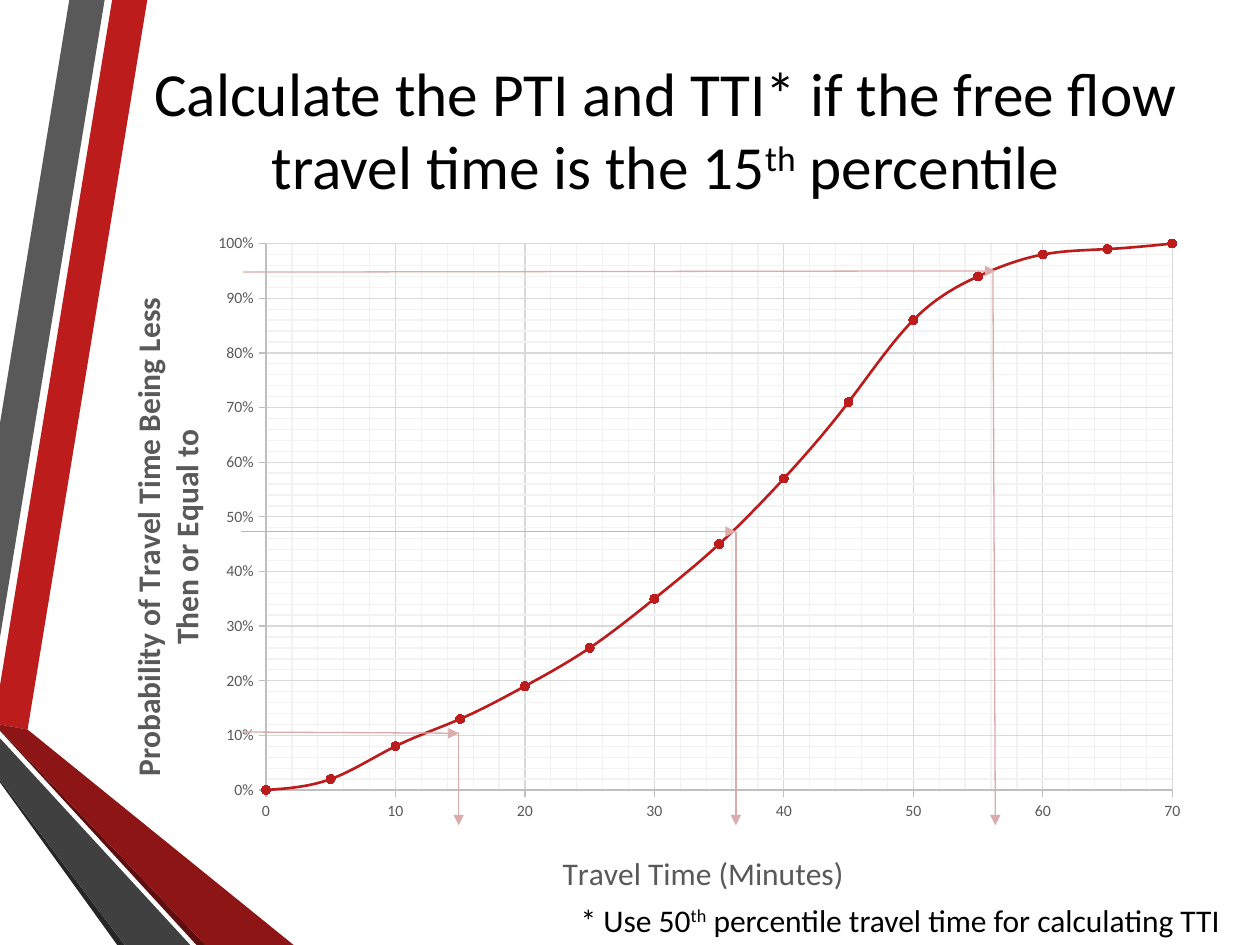
import pptx
import pptx.chart.data
import pptx.dml.color
import pptx.enum.chart
import pptx.enum.shapes
import pptx.enum.text
import pptx.oxml
import pptx.oxml.ns
import pptx.util

Pt = pptx.util.Pt
RGBColor = pptx.dml.color.RGBColor
qn = pptx.oxml.ns.qn

FONT = "Calibri"
RED = RGBColor(0xBC, 0x1C, 0x1C)
ARROW_PINK = RGBColor(0xDA, 0xAC, 0xAC)
BLACK = RGBColor(0, 0, 0)
LABEL_GRAY = RGBColor(0x59, 0x59, 0x59)
AXIS_GRAY = RGBColor(0xBF, 0xBF, 0xBF)
GRID_GRAY = RGBColor(0xD9, 0xD9, 0xD9)
MINOR_GRAY = RGBColor(0xF2, 0xF2, 0xF2)

# Ribbons from back to front: colour and corners
RIBBONS = [
    (RED, [(0, 391.7), (0, 414), (15.8, 416.9), (84.2, 0), (64.1, 0)]),
    (LABEL_GRAY, [(59.8, 0), (39.6, 0), (0, 241.9), (0, 364.3)]),
    (RGBColor(0x26, 0x26, 0x26), [(0, 445.7), (0, 447.1), (67, 540), (71.3, 540)]),
    (RGBColor(0x5E, 0x0E, 0x0E), [(0, 416.9), (0, 417.6), (112.3, 540), (117.4, 540)]),
    (RGBColor(0x8D, 0x15, 0x15), [(0, 416.9), (117.4, 540), (167.8, 540), (15.8, 416.9), (0, 414)]),
    (RGBColor(0x40, 0x40, 0x40), [(0, 445.7), (71.3, 540), (108.7, 540), (0, 421.9)]),
]

# Text, then whether it is superscript
TITLE = [("Calculate the PTI and TTI* if the free flow travel time is the 15", False),
         ("th", True), (" percentile", False)]
FOOTNOTE = [("* Use 50", False), ("th", True),
            (" percentile travel time for calculating TTI", False)]

PROBABILITIES = [0, 0.02, 0.08, 0.13, 0.19, 0.26, 0.35, 0.45,
                 0.57, 0.71, 0.86, 0.94, 0.98, 0.99, 1]
MINUTES_STEP = 5
CHART_BOX = (49.7, 127.4, 639.4, 395.3)
PLOT_LAYOUT = {"x": 0.16, "y": 0.03, "w": 0.81, "h": 0.79}

# Reading arrows: across to the curve, then down to the time axis
READINGS = [
    ((139, 418.3), (262.1, 419), (262.1, 418.3)),
    ((137.5, 303.8), (420.5, 303.8), (420.5, 303.8)),
    ((139, 155.5), (568.8, 154.8), (567.4, 155.5)),
]
ARROW_BOTTOM = 471.6


def add_ribbon(shapes, color, corners):
    builder = shapes.build_freeform(Pt(corners[0][0]), Pt(corners[0][1]), scale=1.0)
    builder.add_line_segments([(Pt(x), Pt(y)) for x, y in corners[1:]], close=True)
    shape = builder.convert_to_shape()
    shape.shadow.inherit = False
    shape.fill.solid()
    shape.fill.fore_color.rgb = color
    shape.line.fill.background()


def add_text(shapes, box, runs, size, alignment, anchor):
    frame = shapes.add_textbox(*map(Pt, box)).text_frame
    frame.word_wrap = True
    frame.vertical_anchor = anchor
    paragraph = frame.paragraphs[0]
    paragraph.alignment = alignment
    paragraph.font.name = FONT
    paragraph.font.size = Pt(size)
    paragraph.font.color.rgb = BLACK
    for text, superscript in runs:
        run = paragraph.add_run()
        run.text = text
        if superscript:
            run.font._element.set("baseline", "30000")


def add_arrow(shapes, start, end):
    points = [Pt(value) for value in (*start, *end)]
    connector = shapes.add_connector(pptx.enum.shapes.MSO_CONNECTOR.STRAIGHT, *points)
    connector.line.color.rgb = ARROW_PINK
    connector.line.width = Pt(0.75)
    line = connector.line._get_or_add_ln()
    line.append(pptx.oxml.parse_xml(
        '<a:tailEnd xmlns:a="http://schemas.openxmlformats.org/drawingml/2006/main" type="triangle"/>'))
    line.addnext(line.makeelement(qn("a:effectLst"), {}))


def set_layout(parent, fractions, inner=False):
    """Fix a chart part at fractions of the chart's size."""
    layout = parent.find(qn("c:layout"))
    if layout is None:
        layout = parent.makeelement(qn("c:layout"), {})
        text = parent.find(qn("c:tx"))
        if text is None:
            parent.insert(0, layout)
        else:
            text.addnext(layout)
    for child in list(layout):
        layout.remove(child)
    manual = layout.makeelement(qn("c:manualLayout"), {})
    layout.append(manual)
    settings = [("layoutTarget", "inner")] if inner else []
    settings += [("xMode", "edge"), ("yMode", "edge")]
    settings += [(name, str(value)) for name, value in fractions.items()]
    for name, value in settings:
        manual.append(manual.makeelement(qn(f"c:{name}"), {"val": value}))


def style_line(line, color, width=0.75):
    line.color.rgb = color
    line.width = Pt(width)


def style_minor_gridlines(axis):
    axis.has_minor_gridlines = True
    gridlines = axis._element.find(qn("c:minorGridlines"))
    gridlines.append(pptx.oxml.parse_xml(
        f'<c:spPr {pptx.oxml.ns.nsdecls("c", "a")}><a:ln w="{Pt(0.75)}"><a:solidFill>'
        f'<a:srgbClr val="{MINOR_GRAY}"/></a:solidFill></a:ln></c:spPr>'))


def style_axis(axis, title, bold, position, maximum, major, minor, number_format):
    axis.minimum_scale, axis.maximum_scale = 0, maximum
    axis.major_unit, axis.minor_unit = major, minor
    axis.major_tick_mark = pptx.enum.chart.XL_TICK_MARK.OUTSIDE
    axis.minor_tick_mark = pptx.enum.chart.XL_TICK_MARK.NONE
    axis.has_major_gridlines = True
    style_line(axis.format.line, AXIS_GRAY)
    style_line(axis.major_gridlines.format.line, GRID_GRAY)
    style_minor_gridlines(axis)
    axis.tick_labels.number_format = number_format
    axis.tick_labels.number_format_is_linked = False
    paragraph = axis.axis_title.text_frame.paragraphs[0]
    paragraph.add_run().text = title
    for font, size in ((axis.tick_labels.font, 9), (paragraph.font, 18)):
        font.name = FONT
        font.size = Pt(size)
        font.color.rgb = LABEL_GRAY
    paragraph.font.bold = bold
    set_layout(axis.axis_title._element, position)


def add_travel_time_chart(shapes):
    data = pptx.chart.data.XyChartData()
    points = data.add_series("Series 1")
    for index, probability in enumerate(PROBABILITIES):
        points.add_data_point(index * MINUTES_STEP, probability)
    chart = shapes.add_chart(pptx.enum.chart.XL_CHART_TYPE.XY_SCATTER_SMOOTH,
                             *map(Pt, CHART_BOX), data).chart
    chart.has_legend = False
    chart.has_title = False
    chart.font.name = FONT
    chart.font.size = Pt(10)
    chart.font.color.rgb = BLACK
    chart.plots[0].vary_by_categories = False
    style_axis(chart.category_axis, "Travel Time (Minutes)", False,
               {"x": 0.42, "y": 0.9}, 70, 10, 2, "General")
    style_axis(chart.value_axis, "Probability of Travel Time Being Less Then or Equal to",
               True, {"x": 0.03, "y": 0.1}, 1, 0.1, 0.02, "0%")
    set_layout(chart._chartSpace.chart.plotArea, PLOT_LAYOUT, inner=True)

    series = chart.plots[0].series[0]
    series._element.get_or_add_smooth().val = True
    style_line(series.format.line, RED, 1.5)
    series.marker.style = pptx.enum.chart.XL_MARKER_STYLE.CIRCLE
    series.marker.size = 5
    series.marker.format.fill.solid()
    series.marker.format.fill.fore_color.rgb = RED
    style_line(series.marker.format.line, RED)


def main():
    presentation = pptx.Presentation()
    presentation.slide_width, presentation.slide_height = Pt(720), Pt(540)
    shapes = presentation.slides.add_slide(presentation.slide_layouts[6]).shapes
    align, anchor = pptx.enum.text.PP_ALIGN, pptx.enum.text.MSO_ANCHOR

    for color, corners in RIBBONS:
        add_ribbon(shapes, color, corners)
    add_text(shapes, (77, 10.1, 607, 126.7), TITLE, 35, align.CENTER, anchor.MIDDLE)
    add_travel_time_chart(shapes)
    for start, curve_point, drop_start in READINGS:
        add_arrow(shapes, start, curve_point)
        add_arrow(shapes, drop_start, (curve_point[0], ARROW_BOTTOM))
    add_text(shapes, (324.7, 511.2, 395.3, 28.8), FOOTNOTE, 18, align.LEFT, anchor.TOP)
    presentation.save("out.pptx")


if __name__ == "__main__":
    main()
